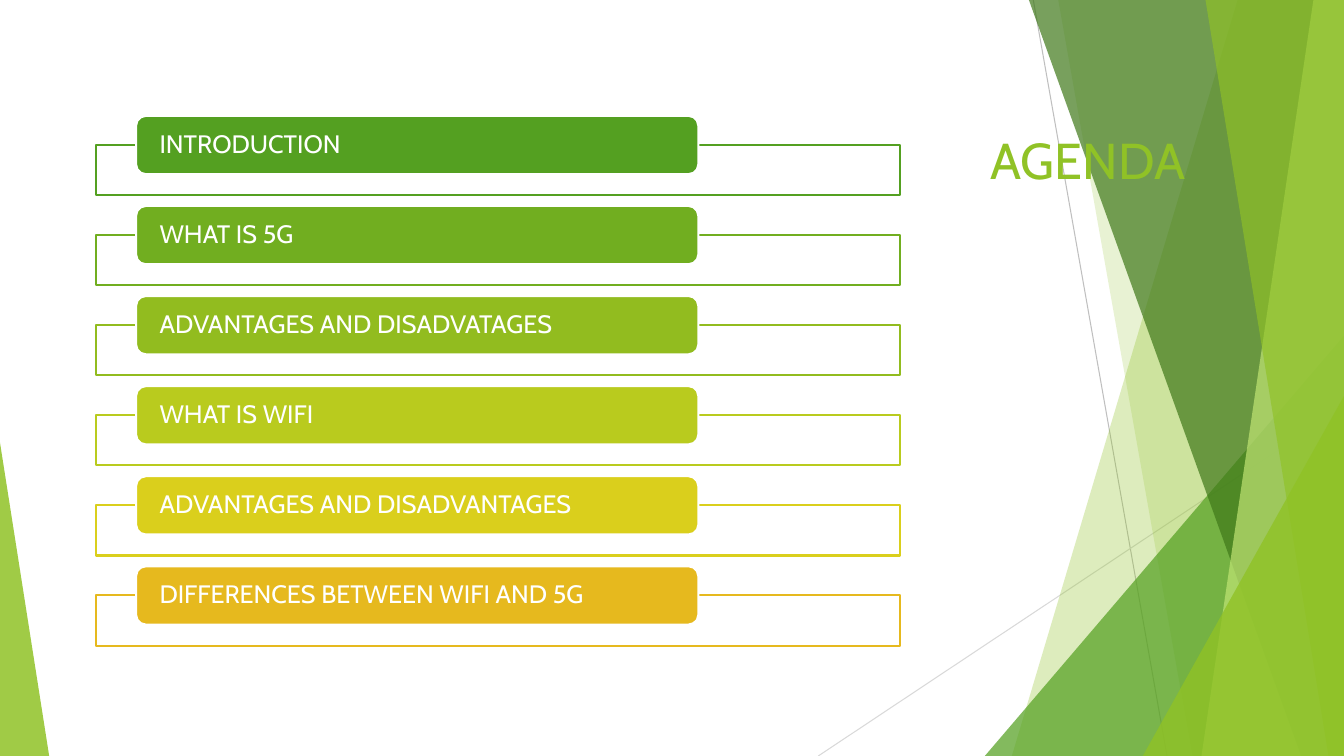
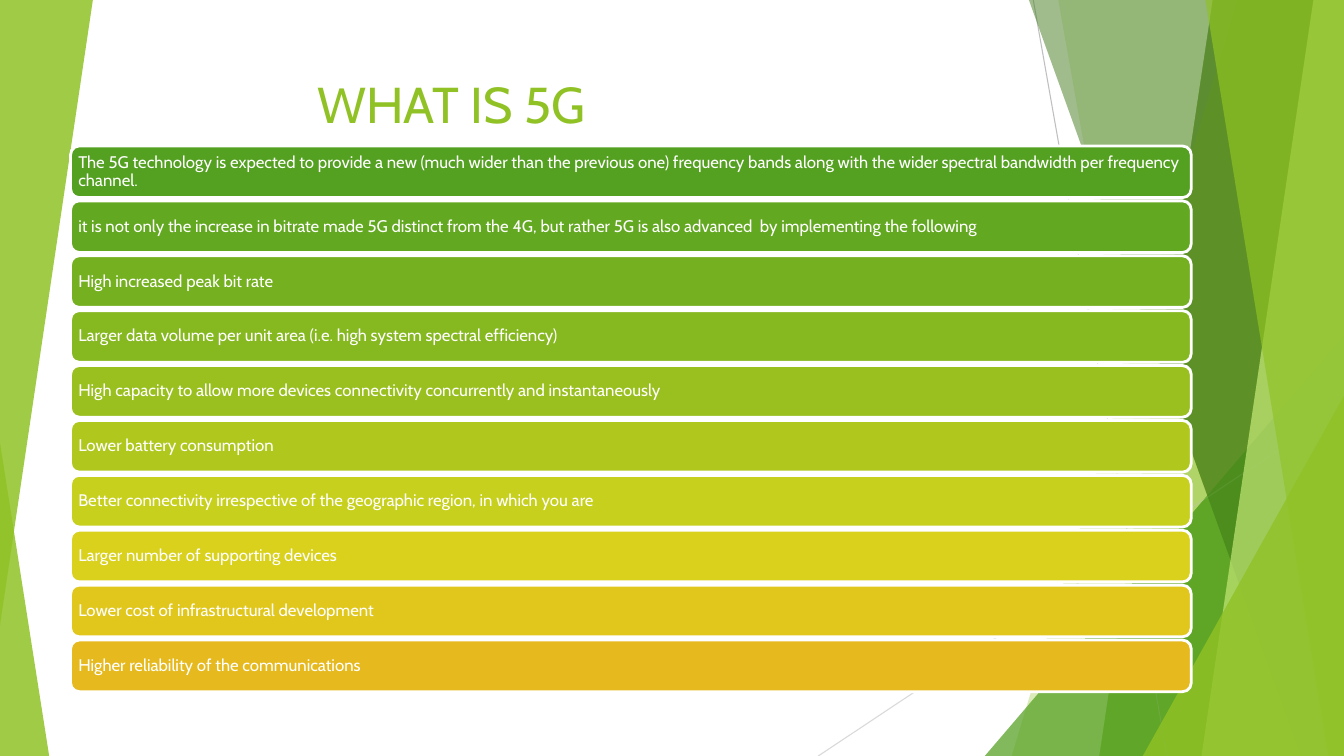
from lxml import etree
from pptx import Presentation
from pptx.dml.color import RGBColor
from pptx.enum import shapes as es, text as et
from pptx.oxml.ns import qn
from pptx.util import Cm, Pt


class Theme:
    font = "Cabin"
    title_size, agenda_size, point_size = 36, 18, 12
    white, lime, green, forest, pale = "FFFFFF", "90C226", "54A021", "3F7819", "C0E474"
    hairlines = ("BFBFBF", "D9D9D9")
    agenda = ("54A021", "71AE20", "92BC1F", "B9CB1E", "DACF1C", "E6B91E")
    points = ("54A021", "63A821", "74B020", "86B820", "9AC01F",
              "B0C81E", "C7D01D", "D9D11C", "E1C71B", "E6B91E")


W, H = 33.87, 19.05
SHAPE = es.MSO_SHAPE


def paint(sp, fill, alpha=100, line=None, width=1.5):
    """Set fill, its opacity in percent, and the outline; drop the shadow."""
    sp.shadow.inherit = False
    sp.fill.solid()
    sp.fill.fore_color.rgb = RGBColor.from_string(fill)
    if alpha < 100:
        colour = sp.element.spPr.find(qn("a:solidFill"))[0]
        etree.SubElement(colour, qn("a:alpha")).set("val", str(alpha * 1000))
    if line:
        sp.line.color.rgb = RGBColor.from_string(line)
        sp.line.width = Pt(width)
    else:
        sp.line.fill.background()


def write(sp, content, size, colour, anchor=et.MSO_ANCHOR.MIDDLE, spacing=0.9, inset=(0.25, 0.13)):
    tf = sp.text_frame
    tf.word_wrap = True
    tf.vertical_anchor = anchor
    tf.margin_left = tf.margin_right = Cm(inset[0])
    tf.margin_top = tf.margin_bottom = Cm(inset[1])
    p = tf.paragraphs[0]
    p.alignment = et.PP_ALIGN.LEFT
    p.line_spacing = spacing
    r = p.add_run()
    r.text = content
    r.font.name, r.font.size = Theme.font, Pt(size)
    r.font.color.rgb = RGBColor.from_string(colour)


prs = Presentation()
prs.slide_width, prs.slide_height = Cm(W), Cm(H)
layout = prs.slide_layouts[5]
agenda, detail = (prs.slides.add_slide(layout) for _ in range(2))

# Backdrop: hairlines, then facets that reach the right edge.
hairlines = ((26.04, 0, 29.41, H), (W, 10.24, 20.62, H))
# A band has its top and bottom x; a wedge has its left and top.
facets = (
    ("band", 31.19, 25.5, Theme.lime, 30),
    ("band", 26.67, 30.05, Theme.lime, 20),
    ("wedge", 24.82, 8.46, Theme.green, 72),
    ("band", 25.93, 32.79, Theme.forest, 70),
    ("band", 33.1, 30.28, Theme.pale, 70),
    ("band", 30.38, 33.48, Theme.lime, 65),
    ("wedge", 28.8, 9.98, Theme.lime, 80),
)

sp = detail.shapes.add_shape(SHAPE.ISOSCELES_TRIANGLE, 0, 0, Cm(2.34), Cm(15.75))
sp.adjustments[0] = 1
sp.rotation = 180
paint(sp, Theme.lime, 85)
sp = detail.shapes.add_shape(SHAPE.PARALLELOGRAM, Cm(4.52), 0, Cm(26.04), Cm(H))
sp.adjustments[0] = 0.15
paint(sp, Theme.white, 94)

for s, forest_alpha in ((agenda, 70), (detail, 47)):
    for ends, colour in zip(hairlines, Theme.hairlines):
        c = s.shapes.add_connector(es.MSO_CONNECTOR.STRAIGHT, *map(Cm, ends))
        c.line.color.rgb = RGBColor.from_string(colour)
        c.line.width = Pt(0.75)
        etree.SubElement(c.element.spPr, qn("a:effectLst"))
    for kind, a, b, colour, alpha in facets:
        if kind == "band":
            outline = s.shapes.build_freeform(Cm(a), 0)
            outline.add_line_segments([(Cm(W), 0), (Cm(W), Cm(H)), (Cm(b), Cm(H))])
            sp = outline.convert_to_shape()
        else:
            sp = s.shapes.add_shape(SHAPE.ISOSCELES_TRIANGLE, Cm(a), Cm(b), Cm(W - a), Cm(H - b))
            sp.adjustments[0] = 1
        paint(sp, colour, forest_alpha if colour == Theme.forest else alpha)

sp = agenda.shapes.add_shape(SHAPE.ISOSCELES_TRIANGLE, 0, Cm(11.15), Cm(1.24), Cm(7.9))
sp.adjustments[0] = 0
paint(sp, Theme.lime, 85)

# The first backdrop moves to the layout, which both slides share.
backdrop = [sp for sp in agenda.shapes if not sp.is_placeholder]
layout_tree = layout.placeholders[0].element.getparent()
for number, sp in enumerate(backdrop, 100):
    sp.element.xpath("./*/p:cNvPr")[0].set("id", str(number))
    layout_tree.append(sp.element)

titles = (
    (agenda, "AGENDA", (24.71, 3.12, 8.18, 12.78)),
    (detail, "WHAT IS 5G", (7.75, 1.7, 18.03, 3.66)),
)
for s, content, box in titles:
    title = s.shapes.title
    title.left, title.top, title.width, title.height = map(Cm, box)
    write(title, content, Theme.title_size, Theme.lime, anchor=et.MSO_ANCHOR.TOP, spacing=1.0)
    title.element.getparent().append(title.element)  # in front of the facets

topics = (
    "INTRODUCTION",
    "WHAT IS 5G",
    "ADVANTAGES AND DISADVATAGES",
    "WHAT IS WIFI",
    "ADVANTAGES AND DISADVANTAGES",
    "DIFFERENCES BETWEEN WIFI AND 5G",
)
for i, (topic, colour) in enumerate(zip(topics, Theme.agenda)):
    top = 2.92 + 2.27 * i
    frame = agenda.shapes.add_shape(SHAPE.RECTANGLE, Cm(2.41), Cm(top + 0.73), Cm(20.27), Cm(1.27))
    paint(frame, Theme.white, 90, line=colour)
    pill = agenda.shapes.add_shape(SHAPE.ROUNDED_RECTANGLE, Cm(3.43), Cm(top), Cm(14.17), Cm(1.47))
    paint(pill, colour, line=Theme.white)
    write(pill, topic, Theme.agenda_size, Theme.white, inset=(0.52, 0))

points = (
    "The 5G technology is expected to provide a new (much wider than the previous one) "
    "frequency bands along with the wider spectral bandwidth per frequency channel.",
    "it is not only the increase in bitrate made 5G distinct from the 4G, "
    "but rather 5G is also advanced  by implementing the following",
    "High increased peak bit rate",
    "Larger data volume per unit area (i.e. high system spectral efficiency)",
    "High capacity to allow more devices connectivity concurrently and instantaneously",
    "Lower battery consumption",
    "Better connectivity irrespective of the geographic region, in which you are",
    "Larger number of supporting devices",
    "Lower cost of infrastructural development",
    "Higher reliability of the communications",
)
first_top, last_top = 3.68, 16.13
pitch = (last_top - first_top) / (len(points) - 1)
for i, (point, colour) in enumerate(zip(points, Theme.points)):
    bar = detail.shapes.add_shape(
        SHAPE.ROUNDED_RECTANGLE, Cm(1.78), Cm(first_top + pitch * i), Cm(28.24), Cm(1.3))
    paint(bar, colour, line=Theme.white, width=2)
    write(bar, point, Theme.point_size, Theme.white, inset=(0.13, 0.13))

prs.save("out.pptx")
